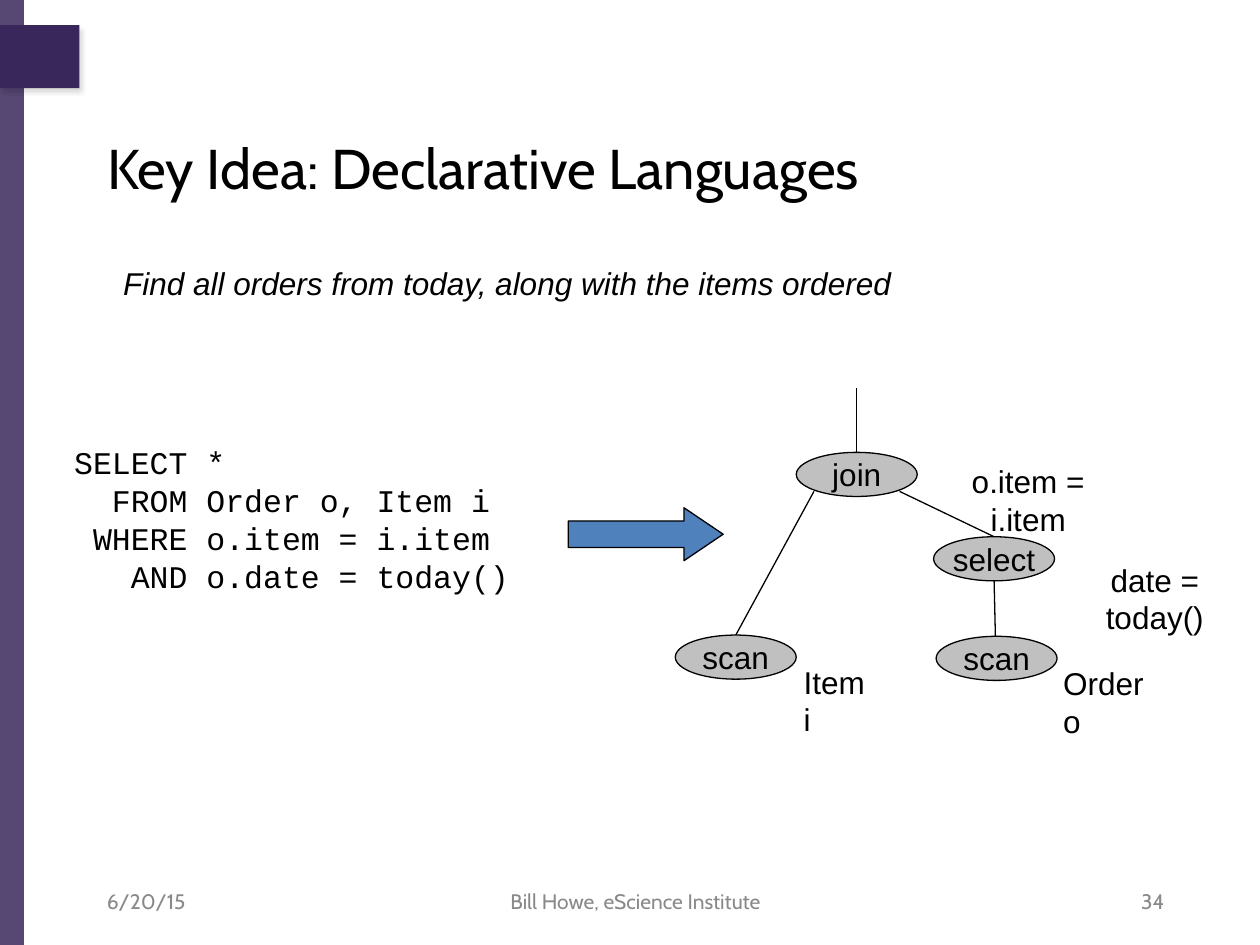
from lxml import etree
from pptx import Presentation
from pptx.dml.color import RGBColor
from pptx.enum.shapes import MSO_CONNECTOR, MSO_SHAPE
from pptx.enum.text import MSO_ANCHOR, PP_ALIGN
from pptx.oxml import parse_xml
from pptx.oxml.ns import nsdecls, qn
from pptx.util import Inches, Pt

BLACK = RGBColor(0x00, 0x00, 0x00)
PURPLE = RGBColor(0x39, 0x27, 0x5B)
GRAY = RGBColor(0x89, 0x89, 0x89)
SILVER = RGBColor(0xC0, 0xC0, 0xC0)
BLUE = RGBColor(0x4F, 0x81, 0xBD)
LEFT, CENTER, RIGHT = PP_ALIGN.LEFT, PP_ALIGN.CENTER, PP_ALIGN.RIGHT

prs = Presentation()
prs.slide_width, prs.slide_height = Inches(10), Inches(7.5)
s = prs.slides.add_slide(prs.slide_layouts[5])


def add_shape(kind, x, y, w, h, fill, outlined=True):
    sp = s.shapes.add_shape(kind, Inches(x), Inches(y), Inches(w), Inches(h))
    sp.shadow.inherit = False
    sp.fill.solid()
    sp.fill.fore_color.rgb = fill
    if outlined:
        sp.line.color.rgb = BLACK
        sp.line.width = Pt(0.75)
    else:
        sp.line.fill.background()
    return sp


def write(sp, text, size=18, font="Arial", color=BLACK, align=LEFT,
          anchor=MSO_ANCHOR.TOP, wrap=True):
    tf = sp.text_frame
    tf.word_wrap = wrap
    tf.vertical_anchor = anchor
    tf.text = text
    for p in tf.paragraphs:
        p.alignment = align
        p.font.size, p.font.name = Pt(size), font
        p.font.color.rgb = color


# Side band and corner block
band = add_shape(MSO_SHAPE.RECTANGLE, 0, 0, 0.19, 7.5, PURPLE, outlined=False)
band_color = band._element.spPr.find(qn("a:solidFill"))[0]
etree.SubElement(band_color, qn("a:alpha")).set("val", "85000")

block = add_shape(MSO_SHAPE.RECTANGLE, 0, 0.2, 0.63, 0.5, PURPLE, outlined=False)
block._element.spPr.find(qn("a:effectLst")).append(parse_xml(
    f'<a:outerShdw {nsdecls("a")} blurRad="38100" dist="38100" dir="3600000">'
    '<a:srgbClr val="000000"><a:alpha val="15000"/></a:srgbClr></a:outerShdw>'))

# Title
title = s.shapes.title
title.left, title.top = Inches(0.75), Inches(0.83)
title.width, title.height = Inches(8.59), Inches(1)
write(title, "Key Idea: Declarative Languages", 32, "Cabin", anchor=MSO_ANCHOR.MIDDLE)

# Footer
for x, w, text, align in [(0.75, 2.33, "6/20/15", LEFT),
                          (3.46, 3.17, "Bill Howe, eScience Institute", CENTER),
                          (7.01, 2.33, "34", RIGHT)]:
    box = s.shapes.add_textbox(Inches(x), Inches(6.95), Inches(w), Inches(0.4))
    write(box, text, 12, "Cabin", GRAY, align, MSO_ANCHOR.MIDDLE)

# Question and query
question = s.shapes.add_textbox(Inches(0.88), Inches(2.05), Inches(8.36), Inches(0.5))
write(question, "Find all orders from today, along with the items ordered")
question.text_frame.paragraphs[0].font.italic = True

query = s.shapes.add_textbox(Inches(0.49), Inches(3.47), Inches(4.24), Inches(1.3))
write(query, "SELECT *\n"
             "  FROM Order o, Item i\n"
             " WHERE o.item = i.item\n"
             "   AND o.date = today()", font="Courier New")

arrow = add_shape(MSO_SHAPE.RIGHT_ARROW, 4.51, 4.03, 1.23, 0.42, BLUE)
arrow.adjustments[1] = 0.74

# Query plan tree
for x1, y1, x2, y2 in [(6.8, 3.59, 6.8, 3.08), (5.84, 5.04, 6.46, 3.9),
                       (7.89, 4.26, 7.14, 3.9), (7.9, 5.05, 7.89, 4.61)]:
    line = s.shapes.add_connector(MSO_CONNECTOR.STRAIGHT, Inches(x1), Inches(y1),
                                  Inches(x2), Inches(y2))
    line.line.color.rgb = BLACK
    line.line.width = Pt(0.75)
    etree.SubElement(line._element.spPr, qn("a:effectLst"))

for x, y, text in [(6.32, 3.59, "join"), (7.41, 4.26, "select"),
                   (5.36, 5.04, "scan"), (7.43, 5.05, "scan")]:
    node = add_shape(MSO_SHAPE.OVAL, x, y, 0.96, 0.35, SILVER)
    write(node, text, align=CENTER, anchor=MSO_ANCHOR.MIDDLE, wrap=False)

for x, y, w, text, align in [(7.32, 3.62, 1.68, "o.item = i.item", CENTER),
                             (8.36, 4.4, 1.61, "date = today()", CENTER),
                             (6.28, 5.21, 0.79, "Item i", LEFT),
                             (8.34, 5.22, 0.97, "Order o", LEFT)]:
    label = s.shapes.add_textbox(Inches(x), Inches(y), Inches(w), Inches(0.4))
    write(label, text, align=align)

prs.save("out.pptx")
